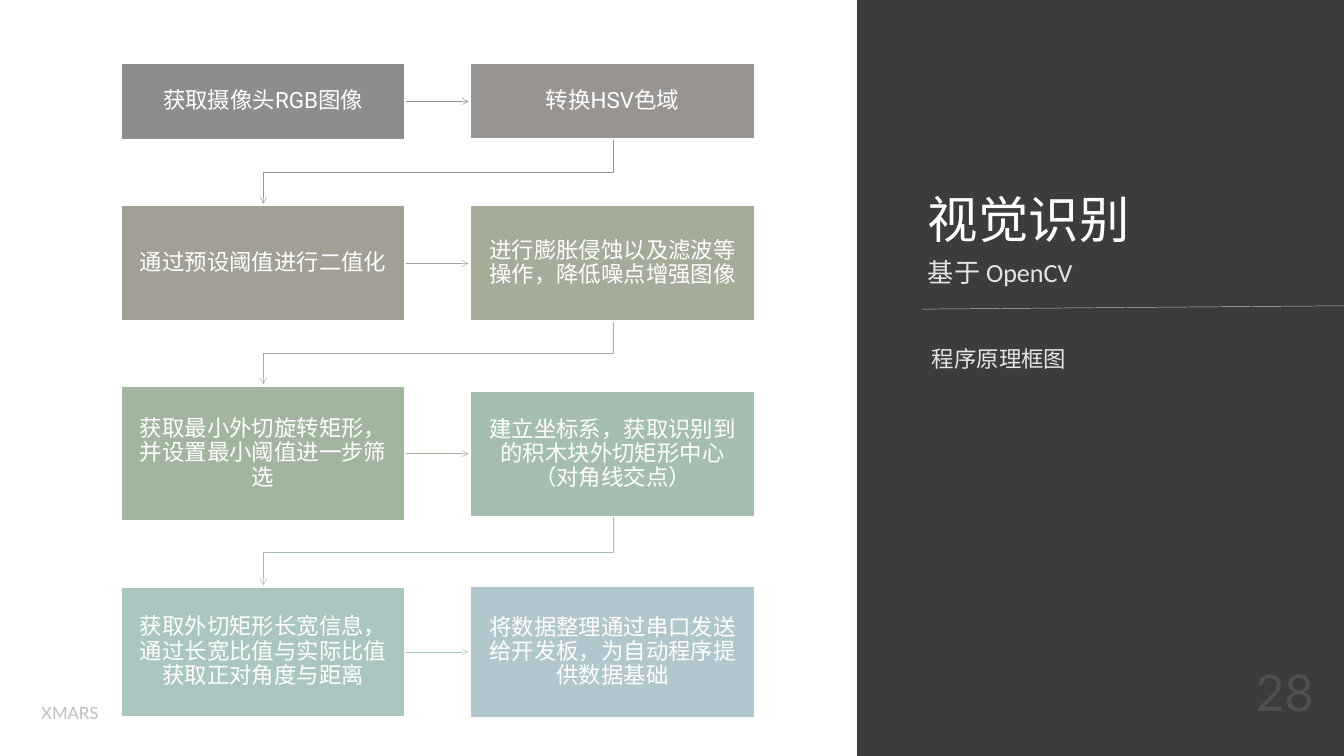
import pptx
import pptx.util
import pptx.dml.color
import pptx.enum.shapes
import pptx.enum.text
import pptx.oxml.ns
import lxml.etree

PX = 9144  # EMU per px, 100 px to the inch

COLORS = {
    "dark": "3C3C3C", "white": "FFFFFF", "rule": "BCBABA",
    "light": "E7E6E6", "footer": "BFBFBF", "number": "505050",
}

ALIGN = pptx.enum.text.PP_ALIGN
ANCHOR = pptx.enum.text.MSO_ANCHOR

# Steps in reading order: text, top, height, colour
STEPS = [
    ("获取摄像头RGB图像", 94, 114, "8D8D8D"),
    ("转换HSV色域", 94, 113, "989491"),
    ("通过预设阈值进行二值化", 306, 172, "A2A095"),
    ("进行膨胀侵蚀以及滤波等操作，降低噪点增强图像", 305, 173, "A6AC9A"),
    ("获取最小外切旋转矩形，并设置最小阈值进一步筛选", 575, 200, "A2B59F"),
    ("建立坐标系，获取识别到的积木块外切矩形中心（对角线交点）", 582, 187, "A5BEAF"),
    ("获取外切矩形长宽信息，通过长宽比值与实际比值获取正对角度与距离", 874, 192, "ABC6C1"),
    ("将数据整理通过串口发送给开发板，为自动程序提供数据基础", 873, 195, "B2C6CE"),
]


def px(value):
    return pptx.util.Emu(round(value * PX))


def rgb(color):
    return pptx.dml.color.RGBColor.from_string(color)


def write(shape, text, font, size, color, align, spacing=1.0, anchor=ANCHOR.TOP):
    frame = shape.text_frame
    frame.word_wrap = True
    frame.vertical_anchor = anchor
    paragraph = frame.paragraphs[0]
    paragraph.alignment = align
    paragraph.line_spacing = spacing
    run = paragraph.add_run()
    run.text = text
    run.font.name = font
    run.font.size = pptx.util.Pt(size)
    run.font.color.rgb = rgb(color)
    fonts = run._r.get_or_add_rPr()
    east_asian = lxml.etree.SubElement(fonts, pptx.oxml.ns.qn("a:ea"))
    east_asian.set("typeface", font)
    return frame


def add_text(slide, box, *style, **options):
    shape = slide.shapes.add_textbox(*map(px, box))
    return write(shape, *style, **options)


def add_box(slide, box, fill, outline=None):
    shape = slide.shapes.add_shape(
        pptx.enum.shapes.MSO_SHAPE.RECTANGLE, *map(px, box))
    shape.shadow.inherit = False
    shape.fill.solid()
    shape.fill.fore_color.rgb = rgb(fill)
    if outline:
        shape.line.color.rgb = rgb(outline)
        shape.line.width = pptx.util.Pt(1.5)
    else:
        shape.line.fill.background()
    return shape


def style_line(shape, color, arrow=True):
    shape.line.color.rgb = rgb(color)
    shape.line.width = pptx.util.Pt(0.5)
    if arrow:
        line = shape.line._get_or_add_ln()
        lxml.etree.SubElement(line, pptx.oxml.ns.qn("a:tailEnd"), type="arrow")


def add_straight(slide, x1, y1, x2, y2, color, arrow=True):
    connector = slide.shapes.add_connector(
        pptx.enum.shapes.MSO_CONNECTOR.STRAIGHT, px(x1), px(y1), px(x2), px(y2))
    style_line(connector, color, arrow)
    lxml.etree.SubElement(
        connector._element.spPr, pptx.oxml.ns.qn("a:effectLst"))


def add_elbow(slide, points, color):
    builder = slide.shapes.build_freeform(*points[0], scale=PX)
    builder.add_line_segments(points[1:], close=False)
    shape = builder.convert_to_shape()
    shape.shadow.inherit = False
    shape.fill.background()
    style_line(shape, color)


def build_flow(slide, left, top, width):
    """Two columns of steps, joined in reading order by arrows."""
    step_width, gap, tip = 423, 97, 3
    columns = (left, left + width - step_width)
    centers = [column + step_width / 2 for column in columns]
    for index, (text, step_top, height, color) in enumerate(STEPS):
        column = index % 2
        y = top + step_top
        # Arrow to the next step
        if column == 0:
            start = left + step_width
            middle = y + height / 2
            add_straight(slide, start, middle, start + gap - tip, middle, color)
        elif index + 1 < len(STEPS):
            bottom = y + height
            next_top = top + STEPS[index + 1][1]
            turn = (bottom + next_top) / 2
            add_elbow(slide, [(centers[1], bottom), (centers[1], turn),
                              (centers[0], turn), (centers[0], next_top - tip)], color)
        # Step box
        shape = add_box(slide, (columns[column], y, step_width, height),
                        color, COLORS["white"])
        frame = write(shape, text, "Roboto", 24, COLORS["white"], ALIGN.CENTER,
                      spacing=0.9, anchor=ANCHOR.MIDDLE)
        frame.margin_left = frame.margin_right = px(19)
        frame.margin_top = frame.margin_bottom = px(19)


def build_heading(slide, left, top):
    """Title, subtitle, rule and caption on the dark side."""
    add_straight(slide, left + 2, top + 209, 2000, top + 204, COLORS["rule"], arrow=False)
    add_text(slide, (left, top, 544, 125), "视觉识别", "Calibri", 54,
             COLORS["white"], ALIGN.LEFT, spacing=0.9, anchor=ANCHOR.BOTTOM)
    add_text(slide, (left, top + 111, 492, 77), "基于 OpenCV", "Calibri", 28,
             COLORS["light"], ALIGN.JUSTIFY, spacing=1.3)
    add_text(slide, (left + 6, top + 234, 560, 549), "程序原理框图", "Roboto", 24,
             COLORS["light"], ALIGN.JUSTIFY, spacing=1.6)


def build_footer(slide, left, right, top):
    """Team name on the left, page number on the right."""
    frame = add_text(slide, (left, top, 150, 40), "XMARS", "Lato", 18,
                     COLORS["footer"], ALIGN.CENTER)
    frame.word_wrap = False
    add_text(slide, (right - 150, top - 62, 150, 100), "28", "Lato", 54,
             COLORS["number"], ALIGN.RIGHT, anchor=ANCHOR.MIDDLE)


def main():
    presentation = pptx.Presentation()
    presentation.slide_width = px(2000)
    presentation.slide_height = px(1125)
    slide = presentation.slides.add_slide(presentation.slide_layouts[6])
    slide.background.fill.solid()
    slide.background.fill.fore_color.rgb = rgb(COLORS["dark"])

    # White area behind the flow chart
    add_box(slide, (-10, -3, 1285, 1133), COLORS["white"])
    build_heading(slide, 1371, 251)
    build_footer(slide, 29, 1965, 1041)
    build_flow(slide, 180, 0, 943)
    presentation.save("out.pptx")


if __name__ == "__main__":
    main()
